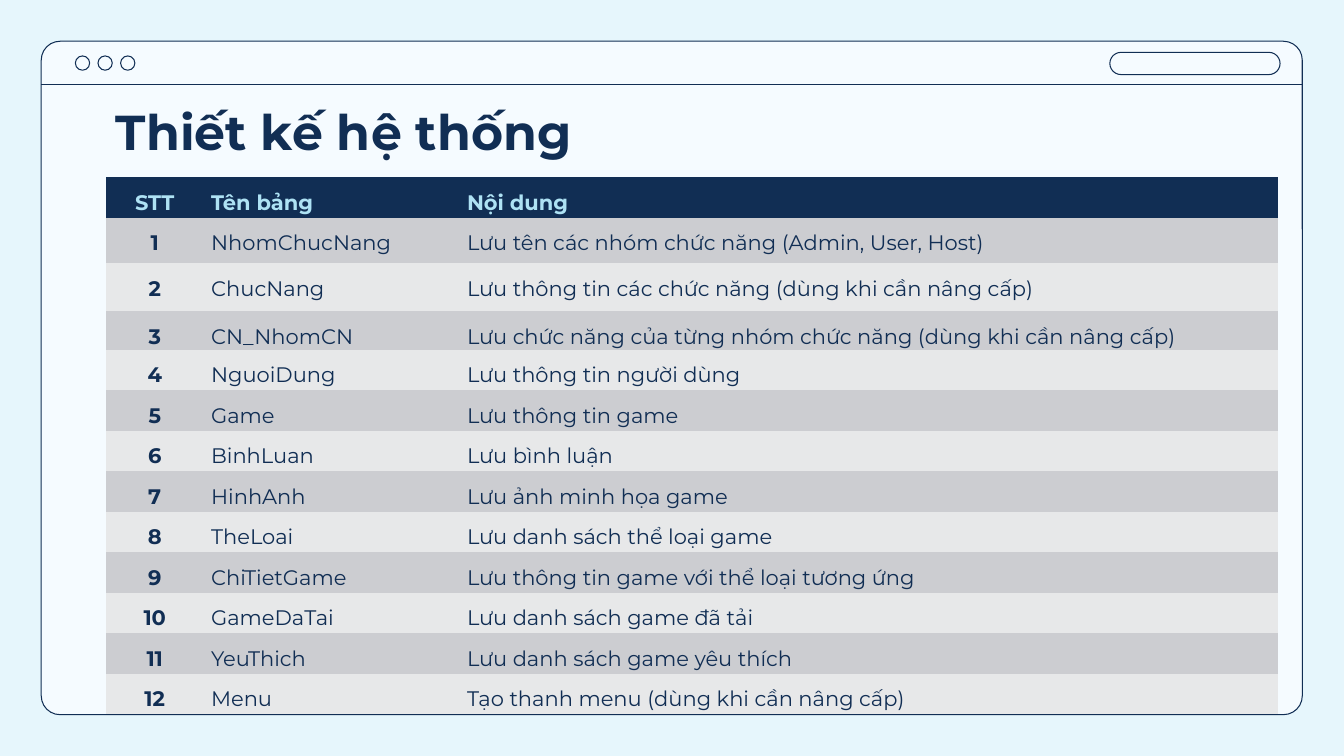
import pptx
import pptx.dml.color
import pptx.enum.shapes
import pptx.enum.text
import pptx.oxml.ns
import pptx.util
from lxml import etree

Cm, Pt = pptx.util.Cm, pptx.util.Pt
SHAPE = pptx.enum.shapes.MSO_SHAPE
ALIGN = pptx.enum.text.PP_ALIGN
ANCHOR = pptx.enum.text.MSO_ANCHOR

NAVY, SKY, PAPER, BACKDROP = "112E54", "AEE2F4", "F5FBFF", "E6F6FC"
BANDS = ("CCCDD1", "E7E8E9")
FONT = "Montserrat"
NO_GRID_STYLE = "{2D5ABB26-0587-4C30-8999-92F81FD0307C}"

HEADER = ("STT", "Tên bảng", "Nội dung")
TABLES = [
    ("NhomChucNang", "Lưu tên các nhóm chức năng (Admin, User, Host)"),
    ("ChucNang", "Lưu thông tin các chức năng (dùng khi cần nâng cấp)"),
    ("CN_NhomCN", "Lưu chức năng của từng nhóm chức năng (dùng khi cần nâng cấp)"),
    ("NguoiDung", "Lưu thông tin người dùng"),
    ("Game", "Lưu thông tin game"),
    ("BinhLuan", "Lưu bình luận"),
    ("HinhAnh", "Lưu ảnh minh họa game"),
    ("TheLoai", "Lưu danh sách thể loại game"),
    ("ChiTietGame", "Lưu thông tin game với thể loại tương ứng"),
    ("GameDaTai", "Lưu danh sách game đã tải"),
    ("YeuThich", "Lưu danh sách game yêu thích"),
    ("Menu", "Tạo thanh menu (dùng khi cần nâng cấp)"),
]
COLUMN_WIDTHS = (2.46, 6.45, 20.62)
ROW_HEIGHT = 1.02
SPECIAL_HEIGHTS = {1: 1.14, 2: 1.22, 3: 0.91}


def color(hex_value):
    return pptx.dml.color.RGBColor.from_string(hex_value)


def fill(target, hex_value):
    target.fill.solid()
    target.fill.fore_color.rgb = color(hex_value)


def style_font(font, size, hex_value, bold):
    font.name = FONT
    font.size = Pt(size)
    font.bold = bold
    font.color.rgb = color(hex_value)


def add_outline(slide, kind, left, top, width, height, corner=None, fill_color=None):
    shape = slide.shapes.add_shape(kind, Cm(left), Cm(top), Cm(width), Cm(height))
    shape.shadow.inherit = False
    shape.line.color.rgb = color(NAVY)
    shape.line.width = Pt(0.75)
    if corner is not None:
        shape.adjustments[0] = corner
    if fill_color:
        fill(shape, fill_color)
    else:
        shape.fill.background()


def add_window(slide, left, top, width, height):
    # Window body
    add_outline(slide, SHAPE.ROUNDED_RECTANGLE, left, top, width, height, 0.028, PAPER)

    # Round buttons and address bar
    for index in range(3):
        add_outline(slide, SHAPE.OVAL, left + 0.86 + 0.57 * index, top + 0.37, 0.36, 0.36)
    add_outline(slide, SHAPE.ROUNDED_RECTANGLE, left + width - 4.85, top + 0.28, 4.29, 0.56, 0.5)

    # Line under the title bar
    bar_bottom = Cm(top + 1.09)
    line = slide.shapes.add_connector(
        pptx.enum.shapes.MSO_CONNECTOR.STRAIGHT,
        Cm(left), bar_bottom, Cm(left + width), bar_bottom)
    line.line.color.rgb = color(NAVY)
    line.line.width = Pt(0.75)
    etree.SubElement(line._element.spPr, pptx.oxml.ns.qn("a:effectLst"))


def write_cell(cell, text, align, fill_color, font_color, bold):
    fill(cell, fill_color)
    cell.margin_left = cell.margin_right = Cm(0.19)
    cell.margin_top = cell.margin_bottom = 0
    cell.vertical_anchor = ANCHOR.TOP
    para = cell.text_frame.paragraphs[0]
    para.text = text
    para.alignment = align
    para.line_spacing = 1.5
    para.space_after = Pt(8)
    style_font(para.font, 15, font_color, bold)


def add_listing(slide, left, top):
    rows = [HEADER] + [(str(number), *entry) for number, entry in enumerate(TABLES, 1)]
    heights = [SPECIAL_HEIGHTS.get(index, ROW_HEIGHT) for index in range(len(rows))]
    frame = slide.shapes.add_table(
        len(rows), len(HEADER), Cm(left), Cm(top),
        Cm(sum(COLUMN_WIDTHS)), Cm(sum(heights)))
    table = frame.table
    table.horz_banding = False
    for style_id in frame._element.iter(pptx.oxml.ns.qn("a:tableStyleId")):
        style_id.text = NO_GRID_STYLE

    for column, width in zip(table.columns, COLUMN_WIDTHS):
        column.width = Cm(width)
    for row_index, texts in enumerate(rows):
        table.rows[row_index].height = Cm(heights[row_index])
        is_header = row_index == 0
        fill_color = NAVY if is_header else BANDS[(row_index - 1) % 2]
        for column_index, text in enumerate(texts):
            is_number = column_index == 0
            write_cell(
                table.cell(row_index, column_index), text,
                ALIGN.CENTER if is_number else ALIGN.JUSTIFY,
                fill_color, SKY if is_header else NAVY, is_header or is_number)


def place_title(slide, text, left, top, width, height):
    title = slide.shapes.title
    title.left, title.top, title.width, title.height = map(Cm, (left, top, width, height))
    text_frame = title.text_frame
    text_frame.text = text
    text_frame.word_wrap = True
    text_frame.auto_size = pptx.enum.text.MSO_AUTO_SIZE.NONE
    text_frame.vertical_anchor = ANCHOR.TOP
    text_frame.margin_left = text_frame.margin_right = Cm(0.25)
    text_frame.margin_top = Cm(0.3)
    text_frame.margin_bottom = Cm(0.25)
    para = text_frame.paragraphs[0]
    para.alignment = ALIGN.LEFT
    style_font(para.font, 35, NAVY, True)
    # Bring the title in front of the window
    slide.shapes._spTree.append(title._element)


def main():
    deck = pptx.Presentation()
    deck.slide_width, deck.slide_height = Cm(33.87), Cm(19.05)
    slide = deck.slides.add_slide(deck.slide_layouts[5])
    fill(slide.background, BACKDROP)
    add_window(slide, 1.04, 1.04, 31.78, 16.97)
    add_listing(slide, 2.67, 4.47)
    place_title(slide, "Thiết kế hệ thống", 2.67, 2.26, 14.27, 1.6)
    deck.save("out.pptx")


if __name__ == "__main__":
    main()
